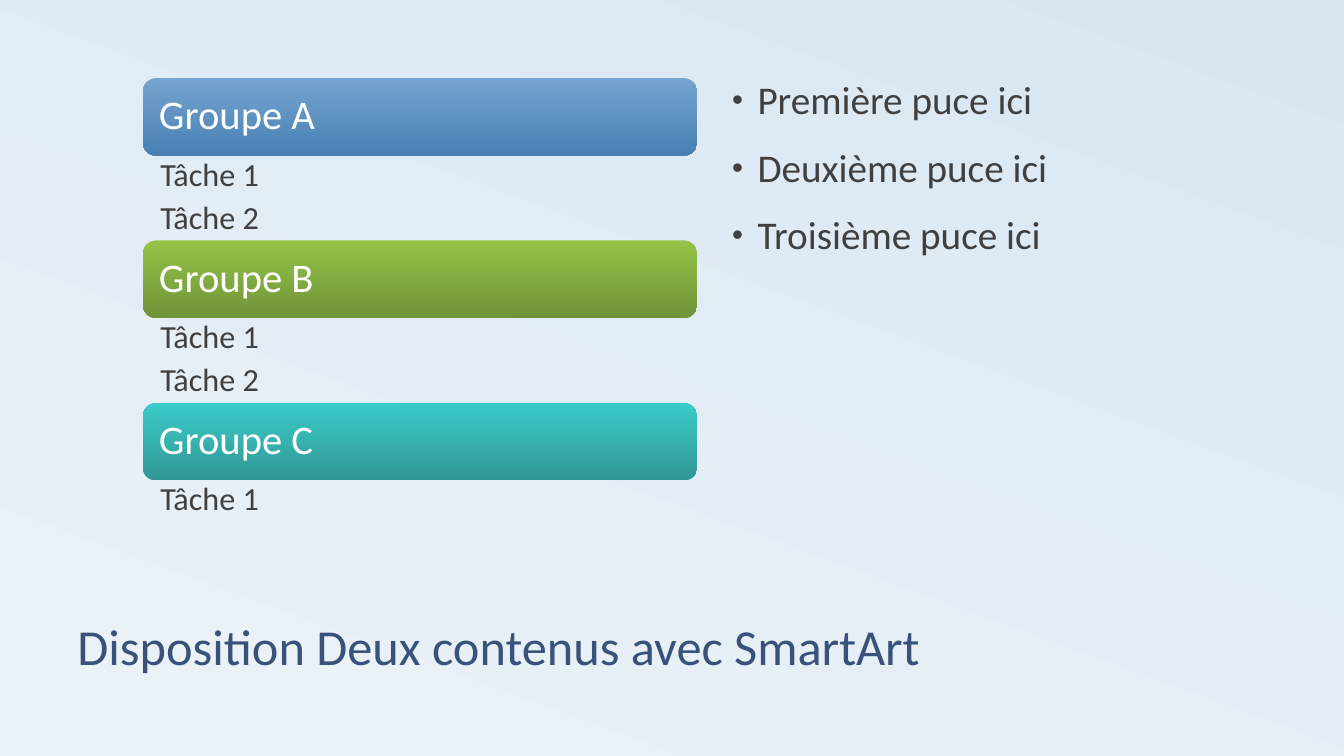
from pptx import Presentation
from pptx.dml.color import RGBColor
from pptx.enum.shapes import MSO_SHAPE
from pptx.enum.text import MSO_ANCHOR, MSO_AUTO_SIZE, PP_ALIGN
from pptx.oxml import parse_xml
from pptx.oxml.ns import nsdecls
from pptx.util import Cm, Pt

COLORS = {
    "title": "39527B", "text": "404040", "white": "FFFFFF",
    "bg": ("ECF3F8", "D9E6F2"),
    "blue": ("75A5D0", "4880B3"),
    "green": ("94C347", "719439"),
    "teal": ("3ACBC8", "329896"),
}
FONT = "Calibri"
GROUPS = [
    ("Groupe\u00a0A", "blue", ["Tâche 1", "Tâche 2"]),
    ("Groupe\u00a0B", "green", ["Tâche 1", "Tâche 2"]),
    ("Groupe\u00a0C", "teal", ["Tâche 1"]),
]
BULLETS = ["Première puce ici", "Deuxième puce ici", "Troisième puce ici"]


def set_gradient(fill, name, angle):
    fill.gradient()
    fill.gradient_angle = angle
    for stop, color, pos in zip(fill.gradient_stops, COLORS[name], (0, 1)):
        stop.color.rgb = RGBColor.from_string(color)
        stop.position = pos


def set_frame(tf, margins, anchor):
    tf.word_wrap = True
    tf.auto_size = MSO_AUTO_SIZE.NONE
    tf.vertical_anchor = anchor
    tf.margin_left, tf.margin_top, tf.margin_right, tf.margin_bottom = (
        Cm(m) for m in margins)


def write(tf, lines, size, color, spacing=0.9, before=0, after=0):
    for i, line in enumerate(lines):
        p = tf.add_paragraph() if i else tf.paragraphs[0]
        p.text = line
        p.alignment = PP_ALIGN.LEFT
        p.line_spacing = spacing
        p.space_before, p.space_after = Pt(before), Pt(after)
        p.font.name, p.font.size = FONT, Pt(size)
        p.font.color.rgb = RGBColor.from_string(COLORS[color])


def place(sp, left, top, width, height):
    sp.left, sp.top, sp.width, sp.height = Cm(left), Cm(top), Cm(width), Cm(height)


def add_title(s, *box):
    sp = s.shapes.title
    place(sp, *box)
    set_frame(sp.text_frame, (0.25, 0.13, 0.25, 0.13), MSO_ANCHOR.BOTTOM)
    write(sp.text_frame, ["Disposition Deux contenus avec SmartArt"], 36, "title", 0.8)


def add_groups(s, left, top, width):
    bar_height, line_height = 1.95, 1.07
    for name, color, tasks in GROUPS:
        # Header bar
        bar = s.shapes.add_shape(MSO_SHAPE.ROUNDED_RECTANGLE, Cm(left), Cm(top),
                                 Cm(width), Cm(bar_height))
        bar.adjustments[0] = 0.17
        bar.shadow.inherit = False
        bar.line.fill.background()
        set_gradient(bar.fill, color, 270)
        set_frame(bar.text_frame, (0.31,) * 4, MSO_ANCHOR.MIDDLE)
        write(bar.text_frame, [name], 29, "white", after=12)
        top += bar_height

        # Tasks under the bar
        height = line_height * len(tasks)
        right, bottom = left + width, top + height
        builder = s.shapes.build_freeform(Cm(left), Cm(top))
        builder.add_line_segments([(Cm(right), Cm(top)), (Cm(right), Cm(bottom)),
                                   (Cm(left), Cm(bottom))])
        panel = builder.convert_to_shape()
        panel.shadow.inherit = False
        panel.fill.background()
        panel.line.fill.background()
        set_frame(panel.text_frame, (0.44, 0.07, 0.46, 0.07), MSO_ANCHOR.TOP)
        write(panel.text_frame, tasks, 23, "text", after=6)
        top = bottom


def add_bullets(s, *box):
    sp = s.placeholders[1]
    place(sp, *box)
    tf = sp.text_frame
    set_frame(tf, (0.25, 0.13, 0.25, 0.13), MSO_ANCHOR.TOP)
    write(tf, BULLETS, 28, "text", before=18)
    for p in tf.paragraphs:
        pPr = p._p.get_or_add_pPr()
        pPr.set("marL", str(Cm(0.64)))
        pPr.set("indent", str(Cm(-0.64)))
        marks = (f'<a:buClr {nsdecls("a")}><a:srgbClr val="{COLORS["text"]}"/></a:buClr>',
                 f'<a:buSzPct {nsdecls("a")} val="80000"/>',
                 f'<a:buFont {nsdecls("a")} typeface="Arial"/>',
                 f'<a:buChar {nsdecls("a")} char="•"/>')
        for mark in marks:
            pPr.insert_element_before(parse_xml(mark), "a:tabLst", "a:defRPr", "a:extLst")


def main():
    prs = Presentation()
    prs.slide_width, prs.slide_height = Cm(33.87), Cm(19.05)
    s = prs.slides.add_slide(prs.slide_layouts[1])
    set_gradient(s.background.fill, "bg", 70)
    add_title(s, 1.7, 14.17, 30.48, 2.97)
    add_groups(s, 3.6, 1.97, 13.97)
    add_bullets(s, 18.2, 1.91, 13.97, 11.63)
    prs.save("out.pptx")


if __name__ == "__main__":
    main()
